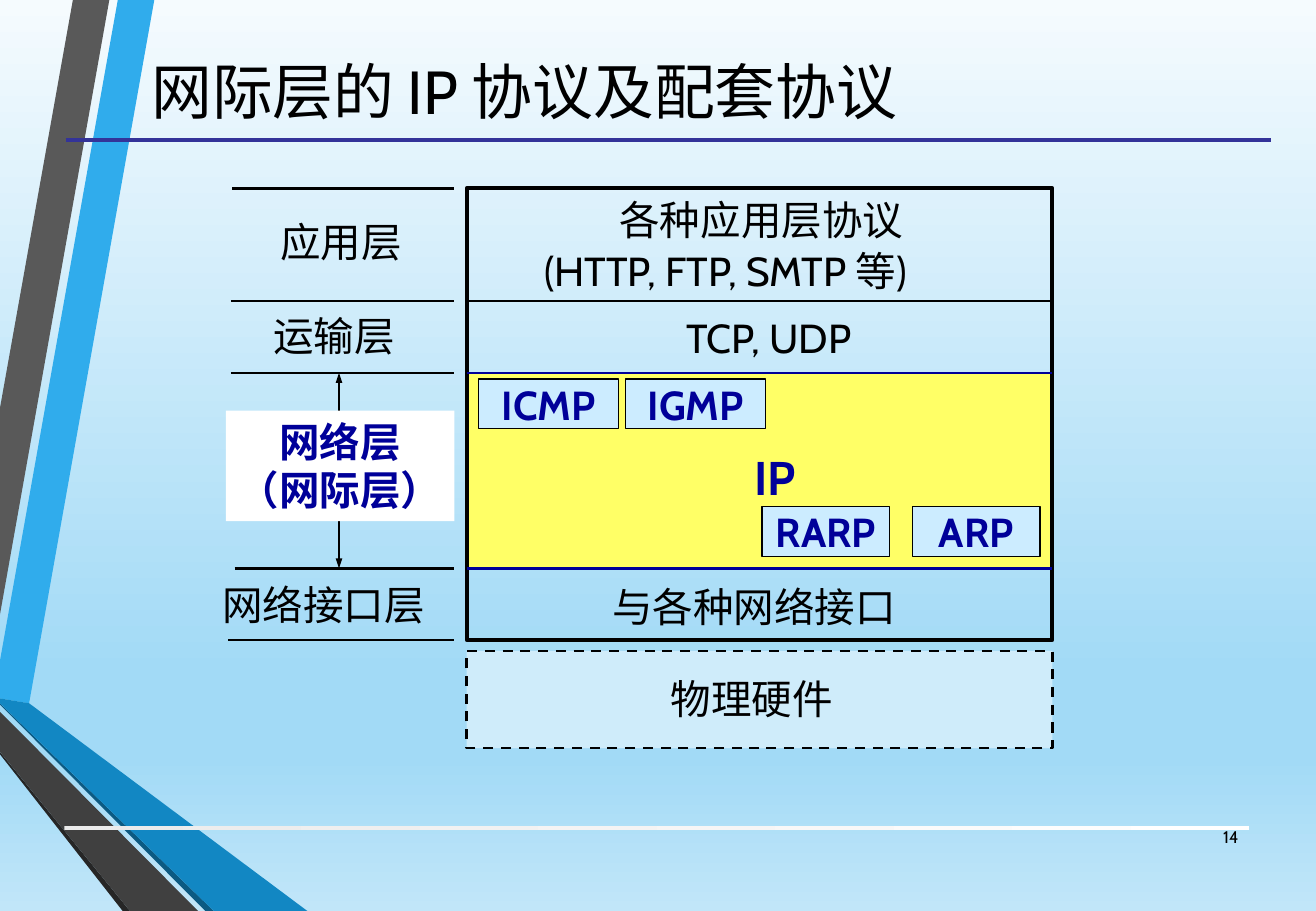
from collections import namedtuple

from lxml import etree
from pptx import Presentation
from pptx.dml.color import RGBColor
from pptx.enum.dml import MSO_LINE
from pptx.enum.shapes import MSO_CONNECTOR, MSO_SHAPE
from pptx.enum.text import MSO_ANCHOR, MSO_AUTO_SIZE, PP_ALIGN
from pptx.oxml.ns import qn
from pptx.util import Inches, Pt

Box = namedtuple("Box", "left top width height")
FONT = "Cabin"
BLACK, NAVY, WHITE = "000000", "000099", "FFFFFF"
ROW_LINES = [0, 0.93, 1.52, 3.13, 3.72]
RULE_STARTS = [0.05, 0.04, 0.04, 0.07, 0.02]
RIBBONS = [
    ("30ACEC", [(0, 5.44), (0, 5.75), (0.24, 5.79), (1.27, 0), (0.97, 0)]),
    ("595959", [(0.9, 0), (0.6, 0), (0, 3.36), (0, 5.06)]),
    ("262626", [(0, 6.19), (0, 6.21), (1.01, 7.5), (1.07, 7.5)]),
    ("0C5A82", [(0, 5.79), (0, 5.8), (1.69, 7.5), (1.76, 7.5)]),
    ("1287C3", [(0, 5.79), (1.76, 7.5), (2.53, 7.5), (0.24, 5.79), (0, 5.75)]),
    ("404040", [(0, 6.19), (1.07, 7.5), (1.63, 7.5), (0, 5.86)]),
]


def rgb(value):
    """Turn a hex string into a colour."""
    return RGBColor.from_string(value)


def paint_gradient(fill, parent, stops, angle):
    """Give a fill the listed gradient stops, at an angle in degrees."""
    fill.gradient()
    gradient = parent.find(qn("a:gradFill"))
    stop_list = gradient.find(qn("a:gsLst"))
    for stop in list(stop_list):
        stop_list.remove(stop)
    for position, color in stops:
        stop = etree.SubElement(stop_list, qn("a:gs"), pos=str(position * 1000))
        etree.SubElement(stop, qn("a:srgbClr"), val=color)
    gradient.find(qn("a:lin")).set("ang", str(angle * 60000))


def write(shape, text, size=24, color=BLACK, bold=False, align=PP_ALIGN.LEFT,
          anchor=MSO_ANCHOR.TOP, wrap=False, grow=False, spacing=None):
    """Fill a shape with text, one paragraph a line."""
    frame = shape.text_frame
    frame.word_wrap = wrap
    frame.vertical_anchor = anchor
    frame.auto_size = MSO_AUTO_SIZE.SHAPE_TO_FIT_TEXT if grow else MSO_AUTO_SIZE.NONE
    for index, line in enumerate(text.split("\n")):
        para = frame.add_paragraph() if index else frame.paragraphs[0]
        para.alignment = align
        para.line_spacing = spacing
        span = para.add_run()
        span.text = line
        span.font.name = FONT
        span.font.size = Pt(size)
        span.font.bold = bold
        span.font.color.rgb = rgb(color)


def add_text(page, box, text, **style):
    """Place a text box."""
    shape = page.shapes.add_textbox(*map(Inches, box))
    write(shape, text, **style)


def finish(shape, fill=None, line=None, width=1.5):
    """Set the fill and outline of a shape and drop its shadow."""
    shape.shadow.inherit = False
    if fill:
        shape.fill.solid()
        shape.fill.fore_color.rgb = rgb(fill)
    else:
        shape.fill.background()
    if line:
        shape.line.color.rgb = rgb(line)
        shape.line.width = Pt(width)
    else:
        shape.line.fill.background()


def add_box(page, box, **look):
    """Place a rectangle."""
    shape = page.shapes.add_shape(MSO_SHAPE.RECTANGLE, *map(Inches, box))
    finish(shape, **look)
    return shape


def add_line(page, start, end, color=BLACK, width=1.5, arrows=False):
    """Draw a straight line, with arrowheads at both ends if asked."""
    line = page.shapes.add_connector(
        MSO_CONNECTOR.STRAIGHT, *map(Inches, (*start, *end)))
    line.line.color.rgb = rgb(color)
    line.line.width = Pt(width)
    if arrows:
        outline = line.line._get_or_add_ln()
        for tag in ("a:headEnd", "a:tailEnd"):
            etree.SubElement(outline, qn(tag), type="triangle", w="sm")
    etree.SubElement(line._element.spPr, qn("a:effectLst"))


def draw_backdrop(page):
    """Draw the background, the ribbons and the two page rules."""
    fill = page.background.fill
    fill.solid()
    properties = page._element.cSld.find(qn("p:bg")).find(qn("p:bgPr"))
    paint_gradient(fill, properties, [
        (0, "F5FBFE"), (74, "A2DAF6"), (83, "A2DAF6"), (100, "C1E6F9")], 90)
    for color, points in RIBBONS:
        corners = [(Inches(x), Inches(y)) for x, y in points]
        builder = page.shapes.build_freeform(*corners[0], scale=1.0)
        builder.add_line_segments(corners[1:], close=True)
        finish(builder.convert_to_shape(), fill=color)
    bar = add_box(page, Box(0.53, 6.8, 9.75, 0.03))
    paint_gradient(bar.fill, bar._element.spPr, [(0, "EBEBEB"), (100, WHITE)], 0)
    add_line(page, (0.54, 1.15), (10.46, 1.15), "333399", 2.25)


def draw_layer_names(page, box):
    """Draw the layer names, their rules and the network layer arrow."""
    right = box.left + box.width
    for start, offset in zip(RULE_STARTS, ROW_LINES):
        y = box.top + offset
        add_line(page, (box.left + start, y), (right, y))
    middle = box.left + 0.93
    add_line(page, (middle, box.top + ROW_LINES[2]),
             (middle, box.top + ROW_LINES[3]), arrows=True)
    for text, x, y, width in [("应用层", 0.35, 0.19, 1.21), ("运输层", 0.29, 0.96, 1.21)]:
        add_text(page, Box(box.left + x, box.top + y, width, 0.5), text, grow=True)
    add_text(page, Box(box.left - 0.13, box.top + 3.27, 2.08, 0.4),
             "网络接口层", spacing=0.75)
    network = add_box(page, Box(box.left, box.top + 1.83, box.width, 0.91), fill=WHITE)
    write(network, "网络层\n（网际层）", color=NAVY, bold=True, align=PP_ALIGN.CENTER)


def draw_protocols(page, box):
    """Draw the protocol stack with the highlighted network layer."""
    right = box.left + box.width
    band_height = ROW_LINES[3] - ROW_LINES[2]
    add_box(page, Box(box.left, box.top + ROW_LINES[2], box.width, band_height),
            fill="FFFF66")
    add_box(page, box, line=BLACK, width=2.25)
    for offset, color in zip(ROW_LINES[1:4], (BLACK, NAVY, NAVY)):
        y = box.top + offset
        add_line(page, (box.left, y), (right, y), color)
    for text, x, y, width in [
        ("各种应用层协议", 1.16, 0.01, 2.56),
        ("(HTTP, FTP, SMTP 等)", 0.54, 0.43, 3.58),
        ("TCP, UDP", 1.71, 0.98, 1.73),
        ("与各种网络接口", 1.1, 3.19, 2.56),
    ]:
        add_text(page, Box(box.left + x, box.top + y, width, 0.5), text, grow=True)
    add_text(page, Box(box.left + 2.27, box.top + 2.09, 0.57, 0.57), "IP",
             size=28, color=NAVY, bold=True, grow=True)
    for text, x, y, width in [
        ("ICMP", 0.1, 1.57, 1.15), ("IGMP", 1.31, 1.57, 1.15),
        ("RARP", 2.43, 2.62, 1.05), ("ARP", 3.67, 2.62, 1.05),
    ]:
        chip = add_box(page, Box(box.left + x, box.top + y, width, 0.41),
                       fill="CCECFF", line=BLACK, width=0.75)
        write(chip, text, color=NAVY, bold=True, align=PP_ALIGN.CENTER,
              anchor=MSO_ANCHOR.MIDDLE)


def draw_hardware(page, box):
    """Draw the dashed, half-transparent hardware box and its name."""
    hardware = add_box(page, box, fill=WHITE, line=BLACK)
    hardware.line.dash_style = MSO_LINE.DASH
    color = hardware._element.spPr.find(qn("a:solidFill")).find(qn("a:srgbClr"))
    etree.SubElement(color, qn("a:alpha"), val="49000")
    add_text(page, Box(box.left + 1.58, box.top + 0.14, 1.55, 0.5), "物理硬件", grow=True)


def main():
    """Build the slide and save it."""
    deck = Presentation()
    deck.slide_width, deck.slide_height = Inches(10.83), Inches(7.5)
    page = deck.slides.add_slide(deck.slide_layouts[6])
    draw_backdrop(page)
    add_text(page, Box(-0.25, 0.36, 9.13, 0.77), "网际层的 IP 协议及配套协议",
             size=36, align=PP_ALIGN.CENTER, anchor=MSO_ANCHOR.MIDDLE, wrap=True)
    draw_protocols(page, Box(3.84, 1.55, 4.82, 3.72))
    draw_hardware(page, Box(3.84, 5.36, 4.82, 0.8))
    draw_layer_names(page, Box(1.86, 1.55, 1.88, 3.72))
    add_text(page, Box(9.8, 6.69, 0.49, 0.4), "14", size=10,
             align=PP_ALIGN.RIGHT, anchor=MSO_ANCHOR.MIDDLE, wrap=True)
    deck.save("out.pptx")


if __name__ == "__main__":
    main()
